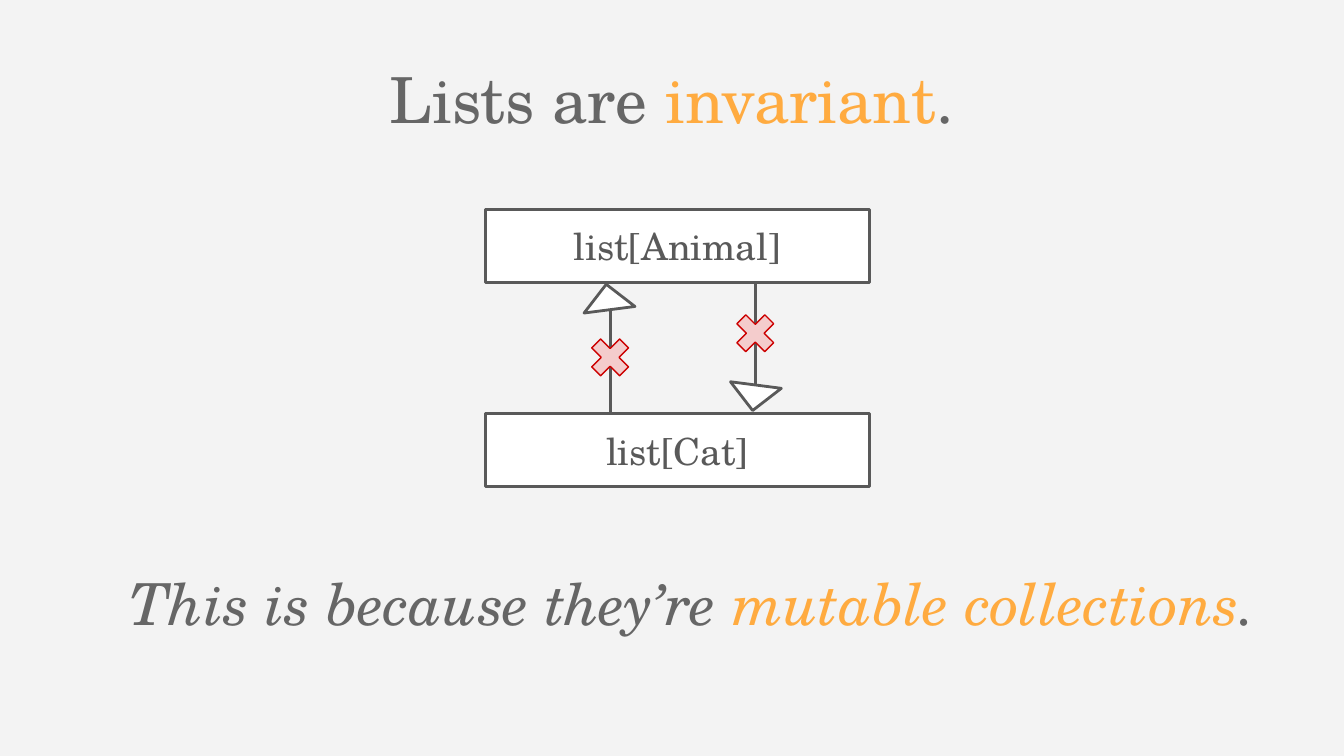
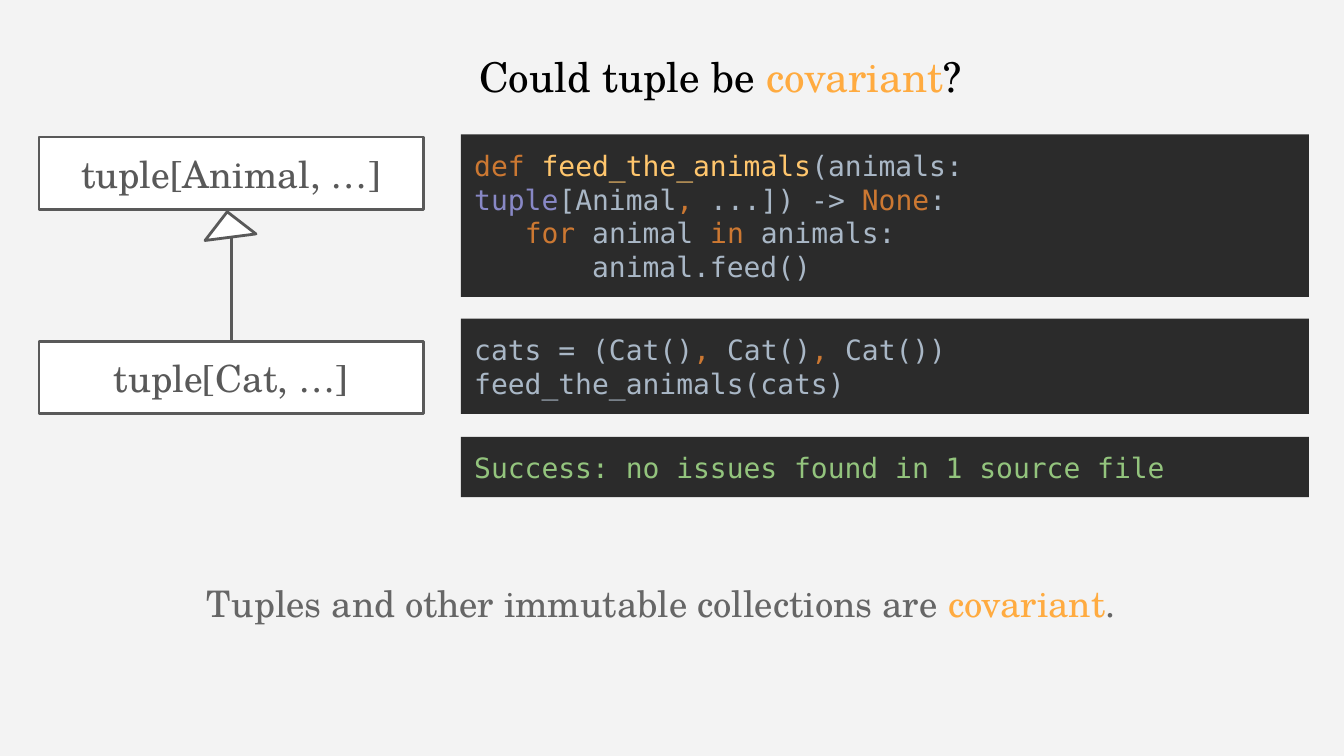
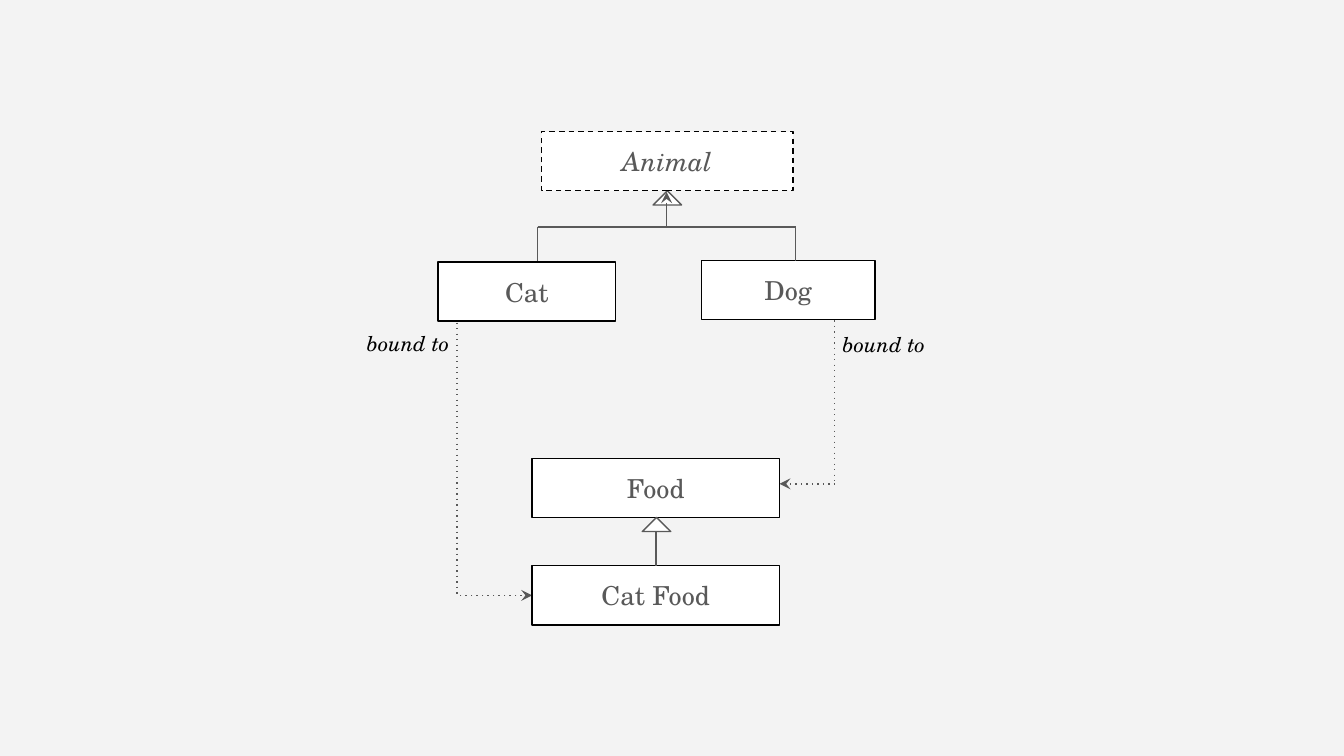
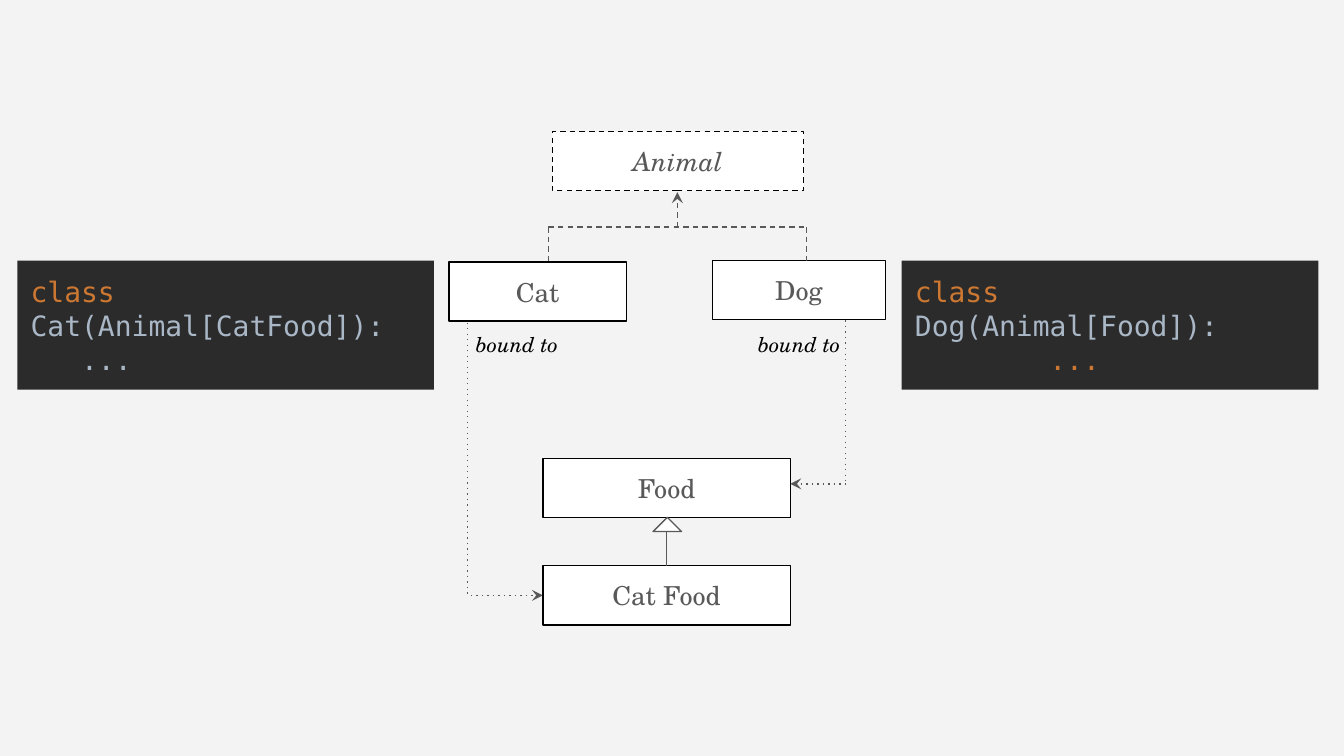
from dataclasses import dataclass

import lxml.etree
import pptx
import pptx.dml.color
import pptx.enum.shapes
import pptx.enum.text
import pptx.oxml.ns
import pptx.shapes.autoshape
import pptx.slide
import pptx.util

PX = 9144  # EMU per px, 100 px to the inch
SERIF, MONO = "TeX Gyre Schola", "DejaVu Sans Mono"
INK = {
    "page": "F3F3F3", "white": "FFFFFF", "black": "000000",
    "grey": "666666", "dark": "595959", "accent": "FFAB40",
    "rose": "F4CCCC", "red": "CC0000",
    "panel": "2B2B2B", "plain": "A9B7C6", "key": "CC7832",
    "func": "FFC66D", "type": "8888C6", "good": "93C47D",
}
FORM = pptx.enum.shapes.MSO_SHAPE
ALIGN = pptx.enum.text.PP_ALIGN
ANCHOR = pptx.enum.text.MSO_ANCHOR

Slide = pptx.slide.Slide
Shape = pptx.shapes.autoshape.Shape
Row = list[tuple[str, str]]  # pieces of one paragraph: text, colour name


@dataclass(frozen=True)
class Area:
    x: int
    y: int
    w: int
    h: int

    def emu(self) -> list[int]:
        return [n * PX for n in (self.x, self.y, self.w, self.h)]


@dataclass(frozen=True)
class Node:
    """A framed box with a centred name."""
    text: str
    area: Area
    size: int = 14
    edge: str = "black"
    width: float = 0.75
    dash: str = ""
    slant: bool = False


@dataclass(frozen=True)
class Link:
    """A line; its arrowhead, if any, sits at the first point."""
    x1: int
    y1: int
    x2: int
    y2: int
    width: float = 0.75
    dash: str = ""
    head: bool = False


def tint(name: str) -> pptx.dml.color.RGBColor:
    return pptx.dml.color.RGBColor.from_string(INK[name])


def write(shape: Shape, rows: list[Row], *, size: float, font: str = SERIF,
          align: ALIGN = ALIGN.CENTER, anchor: ANCHOR = ANCHOR.TOP,
          slant: bool = False, tab: int = 0) -> None:
    qn = pptx.oxml.ns.qn
    frame = shape.text_frame
    frame.word_wrap = True
    frame.auto_size = pptx.enum.text.MSO_AUTO_SIZE.NONE
    frame.vertical_anchor = anchor
    frame.margin_left = frame.margin_right = 10 * PX
    frame.margin_top = frame.margin_bottom = 10 * PX
    for i, row in enumerate(rows):
        para = frame.add_paragraph() if i else frame.paragraphs[0]
        para.alignment = align
        if tab:
            stops = lxml.etree.SubElement(para._p.get_or_add_pPr(), qn("a:tabLst"))
            lxml.etree.SubElement(stops, qn("a:tab"), pos=str(tab * PX), algn="l")
        for text, colour in row:
            run = para.add_run()
            run.text = text
            run.font.name = font
            run.font.size = pptx.util.Pt(size)
            run.font.italic = slant
            run.font.color.rgb = tint(colour)


def stroke(item, colour: str, width: float, dash: str = "", head: bool = False) -> None:
    item.line.color.rgb = tint(colour)
    item.line.width = pptx.util.Pt(width)
    qn = pptx.oxml.ns.qn
    line = item._element.spPr.find(qn("a:ln"))
    if dash:
        lxml.etree.SubElement(line, qn("a:prstDash"), val=dash)
    if head:
        lxml.etree.SubElement(line, qn("a:headEnd"), type="stealth")


def draw(slide: Slide, form: FORM, area: Area, fill: str) -> Shape:
    shape = slide.shapes.add_shape(form, *area.emu())
    shape.shadow.inherit = False
    shape.fill.solid()
    shape.fill.fore_color.rgb = tint(fill)
    shape.line.fill.background()
    return shape


def add_node(slide: Slide, node: Node) -> None:
    shape = draw(slide, FORM.RECTANGLE, node.area, "white")
    stroke(shape, node.edge, node.width, node.dash)
    write(shape, [[(node.text, "dark")]], size=node.size,
          anchor=ANCHOR.MIDDLE, slant=node.slant)


def add_link(slide: Slide, link: Link) -> None:
    ends = [n * PX for n in (link.x1, link.y1, link.x2, link.y2)]
    line = slide.shapes.add_connector(pptx.enum.shapes.MSO_CONNECTOR.STRAIGHT, *ends)
    stroke(line, "dark", link.width, link.dash, link.head)
    lxml.etree.SubElement(line._element.spPr, pptx.oxml.ns.qn("a:effectLst"))


def add_tip(slide: Slide, x: int, y: int, side: int, turn: float,
            width: float = 0.75, flip: bool = False) -> None:
    """Draw a hollow arrow tip from a turned right triangle."""
    tip = draw(slide, FORM.RIGHT_TRIANGLE, Area(x, y, side, side), "white")
    stroke(tip, "dark", width)
    tip.rotation = turn
    if flip:
        tip._element.spPr.find(pptx.oxml.ns.qn("a:xfrm")).set("flipH", "1")


def add_cross(slide: Slide, x: int, y: int) -> None:
    cross = draw(slide, FORM.MATH_MULTIPLY, Area(x - 20, y - 20, 40, 40), "rose")
    cross.adjustments[0] = 0.235
    stroke(cross, "red", 0.75)


def add_code(slide: Slide, area: Area, rows: list[Row]) -> None:
    panel = draw(slide, FORM.RECTANGLE, area, "panel")
    write(panel, rows, size=15, font=MONO, align=ALIGN.LEFT,
          anchor=ANCHOR.MIDDLE, tab=100)


def add_text(slide: Slide, area: Area, row: Row, **style) -> None:
    write(slide.shapes.add_textbox(*area.emu()), [row], **style)


def set_title(slide: Slide, area: Area, row: Row, size: float) -> None:
    title = slide.shapes.title
    title.left, title.top, title.width, title.height = area.emu()
    write(title, [row], size=size)


def add_pair(slide: Slide, x: int, y: int, names: list[str], stem: int) -> None:
    """Draw two stacked types, with an arrow from the lower to the upper."""
    for i, name in enumerate(names):
        area = Area(x, y + 152 * i, 286, 54)
        add_node(slide, Node(name, area, size=20, edge="dark", width=1.5))
    add_link(slide, Link(stem, y + 63, stem, y + 152, 1.5))
    add_tip(slide, stem - 14, y + 61, 27, 127.6, 1.5)


def add_tree(slide: Slide, dx: int, dash: str = "", head: bool = False) -> None:
    """Join both animals to their shared base."""
    left, mid, right = 400 + dx, 496 + dx, 592 + dx
    for link in (Link(left, 169, right, 169, dash=dash),
                 Link(left, 169, left, 194, dash=dash),
                 Link(right, 169, right, 194, dash=dash),
                 Link(mid, 143, mid, 169, dash=dash, head=head)):
        add_link(slide, link)


def add_model(slide: Slide, dx: int, tags: list[tuple[int, int]], solid: bool) -> None:
    """Draw the animal and food classes, shifted right by dx."""
    for x, edge, low, end, high in ((621, 580, 360, 361, 218), (340, 396, 443, 443, 240)):
        add_link(slide, Link(x + dx, high, x + dx, end, dash="dot"))
        add_link(slide, Link(edge + dx, low, x + dx, low, dash="dot", head=True))
    for name, x, y, w in (("Cat", 326, 195, 132), ("Dog", 522, 194, 129),
                          ("Food", 396, 341, 184), ("Cat Food", 396, 421, 184)):
        add_node(slide, Node(name, Area(x + dx, y, w, 44)))
    add_link(slide, Link(488 + dx, 395, 488 + dx, 421))
    add_tip(slide, 481 + dx, 388, 15, 135)
    for x, y in tags:
        add_text(slide, Area(x, y, 96, 39), [("bound to", "black")],
                 size=11, align=ALIGN.LEFT, slant=True)
    if solid:
        add_tree(slide, dx)
        add_tip(slide, 489 + dx, 145, 15, 135)
    add_tree(slide, dx, "dash", True)
    add_node(slide, Node("Animal", Area(403 + dx, 98, 187, 44), dash="dash", slant=True))


def lists(slide: Slide) -> None:
    set_title(slide, Area(34, 35, 932, 82),
              [("Lists are ", "grey"), ("invariant", "accent"), (".", "grey")], 34)
    add_pair(slide, 361, 156, ["list[Animal]", "list[Cat]"], 454)
    add_link(slide, Link(562, 298, 562, 209, 1.5))
    add_tip(slide, 549, 273, 27, 52.4, 1.5, flip=True)
    add_cross(slide, 454, 266)
    add_cross(slide, 562, 248)
    add_text(slide, Area(49, 412, 932, 82),
             [("This is because they’re ", "grey"), ("mutable collections", "accent"),
              (".", "grey")], size=31, slant=True)


def tuples(slide: Slide) -> None:
    set_title(slide, Area(234, 28, 604, 57),
              [("Could tuple be ", "black"), ("covariant", "accent"), ("?", "black")], 22)
    add_pair(slide, 29, 102, ["tuple[Animal, …]", "tuple[Cat, …]"], 172)
    add_code(slide, Area(343, 100, 631, 121), [
        [("def ", "key"), ("feed_the_animals", "func"), ("(animals: ", "plain"),
         ("tuple", "type"), ("[Animal", "plain"), (", ", "key"),
         ("...]) -> ", "plain"), ("None", "key"), (":", "plain")],
        [("   ", "plain"), ("for ", "key"), ("animal ", "plain"), ("in ", "key"),
         ("animals:", "plain")],
        [("       animal.feed()", "plain")],
    ])
    add_code(slide, Area(343, 237, 631, 71), [
        [("cats = (Cat()", "plain"), (", ", "key"), ("Cat()", "plain"), (", ", "key"),
         ("Cat())", "plain")],
        [("feed_the_animals(cats)", "plain")],
    ])
    add_code(slide, Area(343, 325, 631, 45),
             [[("Success: no issues found in 1 source file", "good")]])
    add_text(slide, Area(61, 422, 862, 57),
             [("Tuples and other immutable collections are ", "grey"),
              ("covariant", "accent"), (".", "grey")], size=19.6)


def bounds(slide: Slide) -> None:
    add_model(slide, 0, [(263, 236), (617, 237)], solid=True)


def classes(slide: Slide) -> None:
    add_model(slide, 8, [(344, 237), (554, 237)], solid=False)
    for x, head, tail in ((671, "Dog(Animal[Food]):", ("\t...", "key")),
                          (13, "Cat(Animal[CatFood]):", ("   ...", "plain"))):
        add_code(slide, Area(x, 194, 310, 96),
                 [[("class ", "key"), (head, "plain")], [tail]])


def main() -> None:
    deck = pptx.Presentation()
    deck.slide_width = 1000 * PX
    deck.slide_height = deck.slide_width * 9 // 16
    ground = deck.slide_master.background.fill
    ground.solid()
    ground.fore_color.rgb = tint("page")
    titled, blank = deck.slide_layouts[5], deck.slide_layouts[6]
    for build, layout in ((lists, titled), (tuples, titled),
                          (bounds, blank), (classes, blank)):
        build(deck.slides.add_slide(layout))
    deck.save("out.pptx")


if __name__ == "__main__":
    main()
